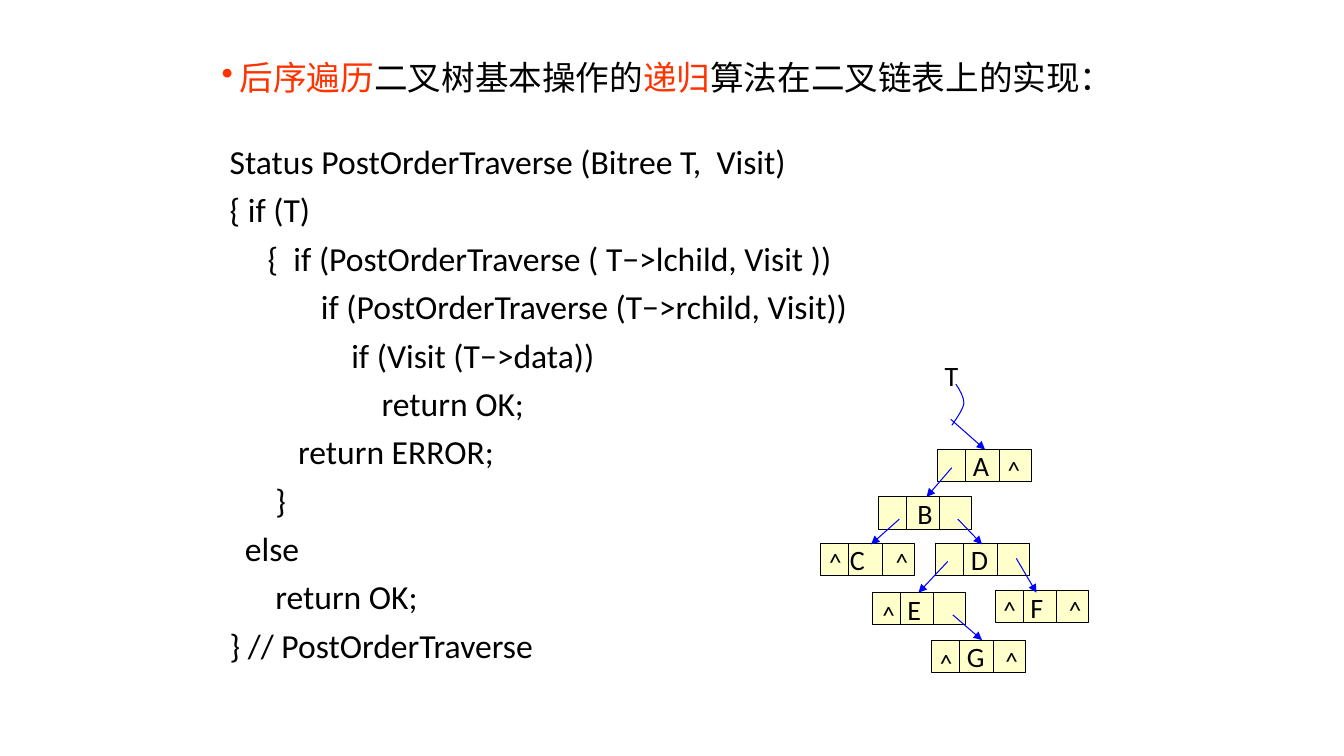
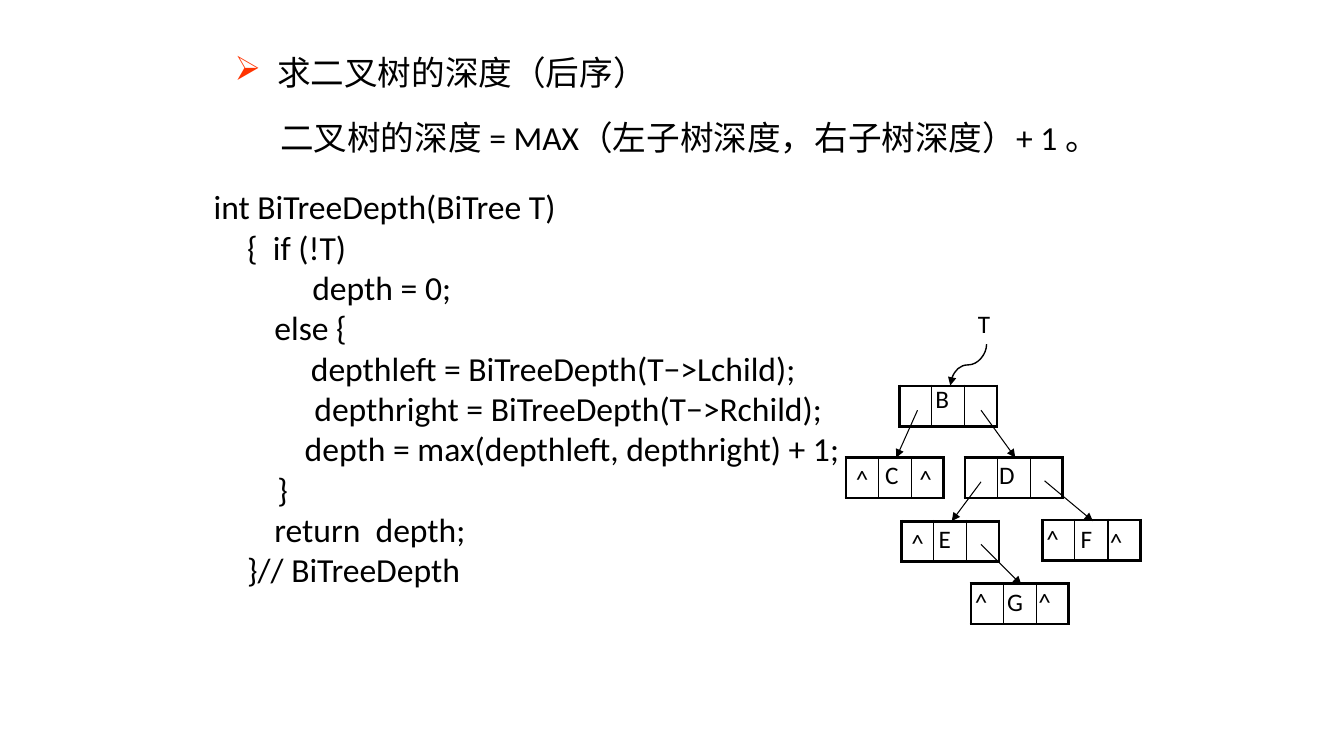
from dataclasses import dataclass

import pptx
import pptx.dml.color
import pptx.enum.shapes
import pptx.enum.text
import pptx.oxml
import pptx.oxml.ns
import pptx.util

PX = 9144  # EMU per px, 100 px to the inch
BLACK, RED, BLUE, CREAM = "000000", "FF3300", "0000FF", "FFFFCC"
LATIN, CJK = "Calibri", "Noto Sans CJK SC"
BODY_PT = 24
PP_ALIGN = pptx.enum.text.PP_ALIGN
MIDDLE = pptx.enum.text.MSO_ANCHOR.MIDDLE
CONNECTOR = pptx.enum.shapes.MSO_CONNECTOR
qn = pptx.oxml.ns.qn


@dataclass(frozen=True)
class Box:
    left: int
    top: int
    width: int
    height: int

    def emu(self) -> list[int]:
        return [v * PX for v in (self.left, self.top, self.width, self.height)]


@dataclass(frozen=True)
class Span:
    text: str
    color: str = BLACK


@dataclass(frozen=True)
class Node:
    letter: str
    left: int
    top: int
    indent: int = 35


@dataclass(frozen=True)
class Link:
    x1: int
    y1: int
    x2: int
    y2: int


@dataclass(frozen=True)
class Label:
    text: str
    left: int
    top: int


POST_ORDER_CODE = """\
Status PostOrderTraverse (Bitree T,  Visit)
{ if (T)
     {  if (PostOrderTraverse ( T−>lchild, Visit ))
            if (PostOrderTraverse (T−>rchild, Visit))
                if (Visit (T−>data))
                    return OK;
         return ERROR;
      }
  else
      return OK;
} // PostOrderTraverse"""

DEPTH_CODE = """\
int BiTreeDepth(BiTree T)
　{  if (!T)
             depth = 0;
        else {
    　　depthleft = BiTreeDepth(T−>Lchild);
　　　depthright = BiTreeDepth(T−>Rchild);
            depth = max(depthleft, depthright) + 1;
    　}
        return  depth;
　}// BiTreeDepth"""

POST_ORDER_NODES = [
    Node("A", 930, 446), Node("B", 871, 493, 39), Node("C", 814, 539, 29),
    Node("D", 928, 539), Node("E", 865, 588), Node("F", 987, 586),
    Node("G", 924, 635),
]
POST_ORDER_LINKS = [
    Link(944, 464, 919, 493), Link(892, 515, 864, 540), Link(950, 515, 974, 540),
    Link(940, 557, 911, 588), Link(1008, 554, 1028, 588), Link(945, 610, 974, 635),
    Link(943, 416, 977, 446),
]
POST_ORDER_NULLS = [
    (989, 446), (812, 537), (878, 537), (865, 590),
    (985, 585), (1050, 585), (922, 637), (987, 635),
]
ROOT_CURVE = [(948, 381), (952, 387), (956, 394), (956, 400),
              (955, 407), (946, 419), (944, 422)]

DEPTH_NODES = [(892, 383), (839, 454), (957, 454), (894, 517), (963, 579), (1034, 516)]
DEPTH_LINKS = [
    Link(910, 407, 889, 454), Link(973, 407, 1007, 454), Link(973, 478, 944, 517),
    Link(973, 540, 1013, 580), Link(1036, 477, 1084, 517),
]
DEPTH_LABELS = [
    Label("T", 960, 301), Label("B", 918, 375), Label("C", 868, 451),
    Label("D", 981, 451), Label("E", 921, 514), Label("G", 989, 577),
    Label("F", 1062, 514),
    *(Label("^", x, y) for x, y in [(1091, 517), (839, 455), (902, 455), (894, 518),
                                    (957, 577), (1020, 577), (1028, 514)]),
]


def rgb(color: str) -> pptx.dml.color.RGBColor:
    return pptx.dml.color.RGBColor.from_string(color)


def style(font, size: int, color: str = BLACK, name: str = LATIN) -> None:
    font.size = pptx.util.Pt(size)
    font.name = name
    font.color.rgb = rgb(color)


def add_xml(parent, tag: str, **attrs: str):
    return pptx.oxml.ns and _append(parent, parent.makeelement(qn(tag), attrs))


def _append(parent, child):
    parent.append(child)
    return child


def add_text(slide, box: Box, text: str, size: int, spacing: float = 1.0,
             centred: bool = False) -> None:
    """Unwrapped text, one paragraph per line."""
    tf = slide.shapes.add_textbox(*box.emu()).text_frame
    tf.word_wrap = False
    tf.text = text
    if centred:
        tf.vertical_anchor = MIDDLE
    for p in tf.paragraphs:
        p.line_spacing = spacing
        p.alignment = PP_ALIGN.CENTER if centred else PP_ALIGN.LEFT
        for r in p.runs:
            style(r.font, size)


def add_heading(slide, box: Box, spans: list[Span], bullet: str = "",
                hang: int = 0, font: str = LATIN) -> None:
    tf = slide.shapes.add_textbox(*box.emu()).text_frame
    tf.word_wrap = True
    p = tf.paragraphs[0]
    if bullet:
        pPr = p._p.get_or_add_pPr()
        pPr.set("marL", str(hang * PX))
        pPr.set("indent", str(-hang * PX))
        add_xml(add_xml(pPr, "a:buClr"), "a:srgbClr", val=RED)
        add_xml(pPr, "a:buChar", char=bullet)
    for span in spans:
        r = p.add_run()
        r.text = span.text
        style(r.font, BODY_PT, span.color, font)


def add_line(slide, link: Link, color: str = BLACK, width: float = 0.75,
             arrow: bool = False, kind=CONNECTOR.STRAIGHT):
    line = slide.shapes.add_connector(
        kind, *(v * PX for v in (link.x1, link.y1, link.x2, link.y2)))
    line.line.color.rgb = rgb(color)
    line.line.width = pptx.util.Pt(width)
    if arrow:
        add_xml(line.line._get_or_add_ln(), "a:tailEnd", type="triangle")
    add_xml(line._element.spPr, "a:effectLst")
    return line


def add_curve(slide, points: list[tuple[int, int]], color: str) -> None:
    """Open Bézier curve: a start, then two controls and an end per piece."""
    builder = slide.shapes.build_freeform(*points[0], scale=PX)
    builder.add_line_segments(points[1:], close=False)
    sp = builder.convert_to_shape()
    sp.shadow.inherit = False
    sp.fill.background()
    sp.line.color.rgb = rgb(color)
    sp.line.width = pptx.util.Pt(0.75)
    outline = sp._element.find(".//" + qn("a:path"))
    segments = outline.findall(qn("a:lnTo"))
    for i in range(0, len(segments), 3):
        bezier = add_xml(outline, "a:cubicBezTo")
        for segment in segments[i:i + 3]:
            bezier.append(segment[0])
            outline.remove(segment)


def add_filled_node(slide, node: Node) -> None:
    box = Box(node.left, node.top, 93, 32)
    sp = slide.shapes.add_shape(pptx.enum.shapes.MSO_SHAPE.RECTANGLE, *box.emu())
    sp.shadow.inherit = False
    sp.fill.solid()
    sp.fill.fore_color.rgb = rgb(CREAM)
    sp.line.color.rgb = rgb(BLACK)
    sp.line.width = pptx.util.Pt(0.75)
    tf = sp.text_frame
    tf.word_wrap = False
    tf.vertical_anchor = MIDDLE
    tf.margin_left = node.indent * PX
    tf.margin_right = tf.margin_top = tf.margin_bottom = 0
    tf.text = node.letter
    p = tf.paragraphs[0]
    p.alignment = PP_ALIGN.LEFT
    style(p.runs[0].font, 20)
    for dx in (28, 61):
        x = node.left + dx
        add_line(slide, Link(x, node.top, x, node.top + box.height))


def add_table_node(slide, left: int, top: int) -> None:
    """One row of three empty cells with a heavy frame and thin dividers."""
    table = slide.shapes.add_table(1, 3, *Box(left, top, 97, 40).emu()).table
    table.first_row = table.horz_banding = False
    for i, width in enumerate((32, 33, 32)):
        table.columns[i].width = width * PX
        cell = table.cell(0, i)
        cell.margin_top = cell.margin_bottom = 0
        tcPr = cell._tc.get_or_add_tcPr()
        edges = {"L": 2.25 if i == 0 else 1, "R": 2.25 if i == 2 else 1,
                 "T": 2.25, "B": 2.25}
        for side, points in edges.items():
            ln = add_xml(tcPr, f"a:ln{side}", w=str(pptx.util.Pt(points)))
            add_xml(add_xml(ln, "a:solidFill"), "a:srgbClr", val=BLACK)
        cell.fill.background()


def build_post_order(slide) -> None:
    add_heading(slide, Box(210, 52, 927, 50), [
        Span("后序遍历", RED), Span("二叉树基本操作的"),
        Span("递归", RED), Span("算法在二叉链表上的实现："),
    ], bullet="•", hang=18)
    add_text(slide, Box(218, 127, 649, 540), POST_ORDER_CODE, BODY_PT, spacing=1.2)
    for node in POST_ORDER_NODES:
        add_filled_node(slide, node)
    for link in POST_ORDER_LINKS:
        add_line(slide, link, BLUE, arrow=True)
    add_curve(slide, ROOT_CURVE, BLUE)
    for left, top in POST_ORDER_NULLS:
        add_text(slide, Box(left, top, 33, 40), "^", 18, centred=True)
    add_text(slide, Box(927, 351, 40, 44), "T", 20)


def build_depth(slide) -> None:
    add_heading(slide, Box(223, 47, 446, 50), [Span("求二叉树的深度（后序）")],
                bullet="➢", hang=42, font=CJK)
    add_heading(slide, Box(268, 111, 920, 50),
                [Span("二叉树的深度 = MAX（左子树深度，右子树深度）+ 1 。")])
    add_text(slide, Box(202, 180, 654, 414), DEPTH_CODE, BODY_PT)
    for left, top in DEPTH_NODES:
        add_table_node(slide, left, top)
    for link in DEPTH_LINKS:
        add_line(slide, link, arrow=True)
    for label in DEPTH_LABELS:
        add_text(slide, Box(label.left, label.top, 39, 40), label.text, 18)
    root = add_line(slide, Link(940, 344, 981, 380), width=1, arrow=True,
                    kind=CONNECTOR.CURVE)
    root._element.spPr.find(qn("a:xfrm")).set("rot", str(90 * 60000))


def main() -> None:
    prs = pptx.Presentation()
    prs.slide_width, prs.slide_height = 1333 * PX, 750 * PX
    blank = prs.slide_layouts[6]
    for build in (build_post_order, build_depth):
        build(prs.slides.add_slide(blank))
    prs.save("out.pptx")


if __name__ == "__main__":
    main()
